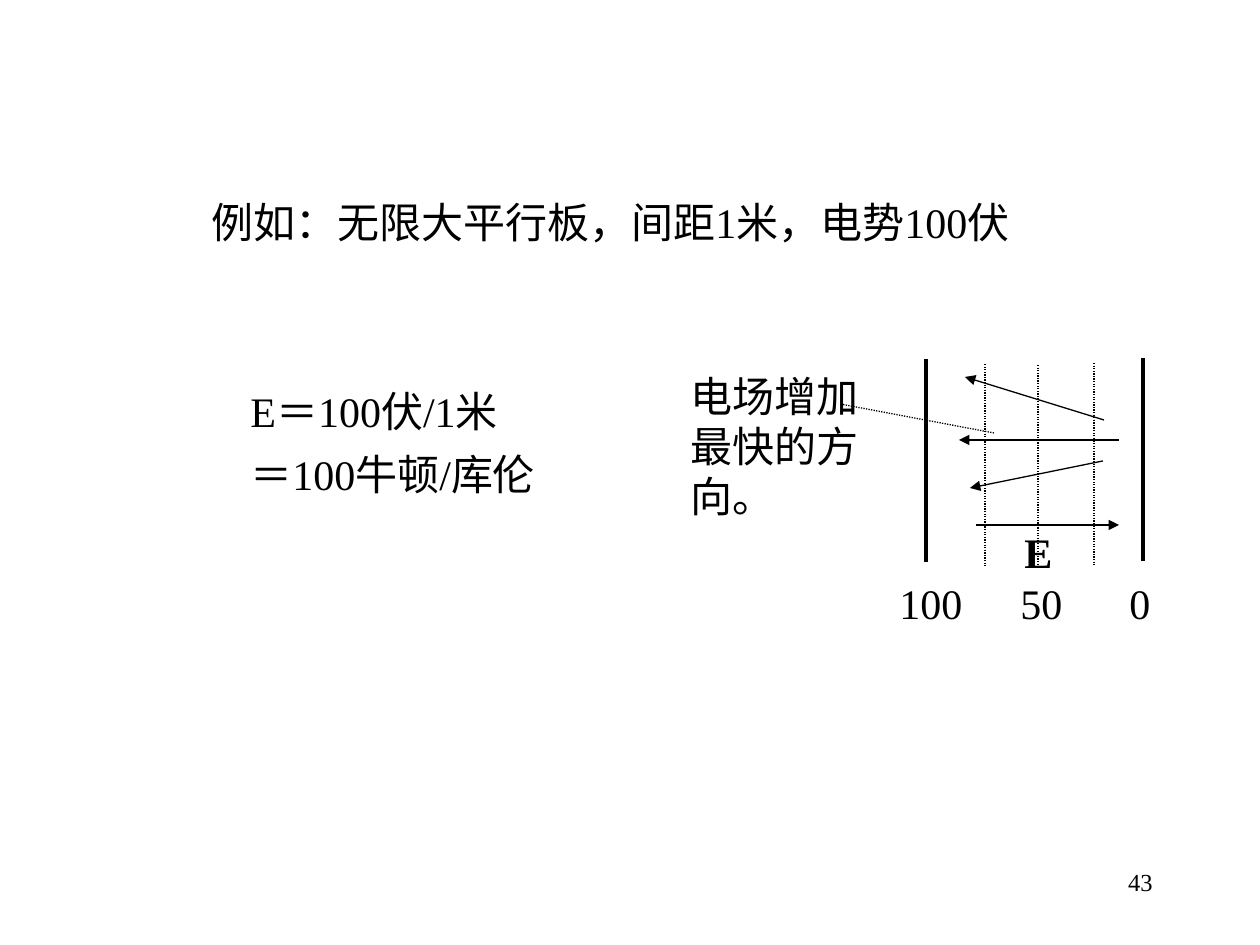
from lxml.etree import SubElement
from pptx import Presentation
from pptx.dml.color import RGBColor
from pptx.enum.dml import MSO_LINE
from pptx.enum.shapes import MSO_CONNECTOR
from pptx.enum.text import MSO_ANCHOR, PP_ALIGN
from pptx.oxml.ns import qn
from pptx.util import Pt

PX = 914400 // 126
BLACK = RGBColor(0, 0, 0)
LATIN = "Times New Roman"
CJK = "Noto Sans CJK SC"

deck = Presentation()
deck.slide_width, deck.slide_height = 1260 * PX, 945 * PX
page = deck.slides.add_slide(deck.slide_layouts[6])


def add_text(left, top, width, height, lines, size=24, bold=False,
             align=PP_ALIGN.LEFT, anchor=MSO_ANCHOR.TOP, spacing=1):
    box = page.shapes.add_textbox(left * PX, top * PX, width * PX, height * PX)
    frame = box.text_frame
    frame.word_wrap = True
    frame.vertical_anchor = anchor
    for index, line in enumerate(lines):
        para = frame.paragraphs[0] if index == 0 else frame.add_paragraph()
        para.alignment = align
        para.line_spacing = spacing
        span = para.add_run()
        span.text = line
        span.font.size = Pt(size)
        span.font.bold = bold
        span.font.color.rgb = BLACK
        span.font.name = LATIN
        SubElement(span.font._element, qn("a:ea"), typeface=CJK)


def add_line(x1, y1, x2, y2, width=0.75, dotted=False, arrow=False):
    line = page.shapes.add_connector(
        MSO_CONNECTOR.STRAIGHT, x1 * PX, y1 * PX, x2 * PX, y2 * PX)
    line.line.color.rgb = BLACK
    line.line.width = Pt(width)
    if dotted:
        line.line.dash_style = MSO_LINE.ROUND_DOT
    if arrow:
        SubElement(line.line._get_or_add_ln(), qn("a:tailEnd"), type="triangle")
    SubElement(line._element.spPr, qn("a:effectLst"))


# Example and result
add_text(199, 188, 1014, 68, ["例如：无限大平行板，间距1米，电势100伏"],
         anchor=MSO_ANCHOR.MIDDLE)
add_text(238, 367, 354, 138, ["E＝100伏/1米", "＝100牛顿/库伦"],
         anchor=MSO_ANCHOR.MIDDLE, spacing=1.25)

# Plates and equipotential lines
for x, top in ((926, 359), (1143, 358)):
    add_line(x, top, x, top + 203, width=2.25)
for x, top in ((985, 364), (1038, 365), (1094, 363)):
    add_line(x, top, x, top + 202, dotted=True)

# Directions of increasing potential, and the field itself
for ends in ((1104, 420, 965, 377), (1119, 440, 959, 440),
             (1103, 461, 970, 488), (976, 525, 1119, 525)):
    add_line(*ends, arrow=True)

# Callout
add_line(994, 433, 840, 404, dotted=True)
add_text(678, 364, 195, 164, ["电场增加", "最快的方向。"])

# Labels
add_text(1012, 520, 72, 64, ["E"], bold=True)
for left, potential in ((887, "100"), (1008, "50"), (1117, "0")):
    add_text(left, 571, 96, 60, [potential])

add_text(903, 861, 262, 63, ["43"], size=14, align=PP_ALIGN.RIGHT)

deck.save("out.pptx")
